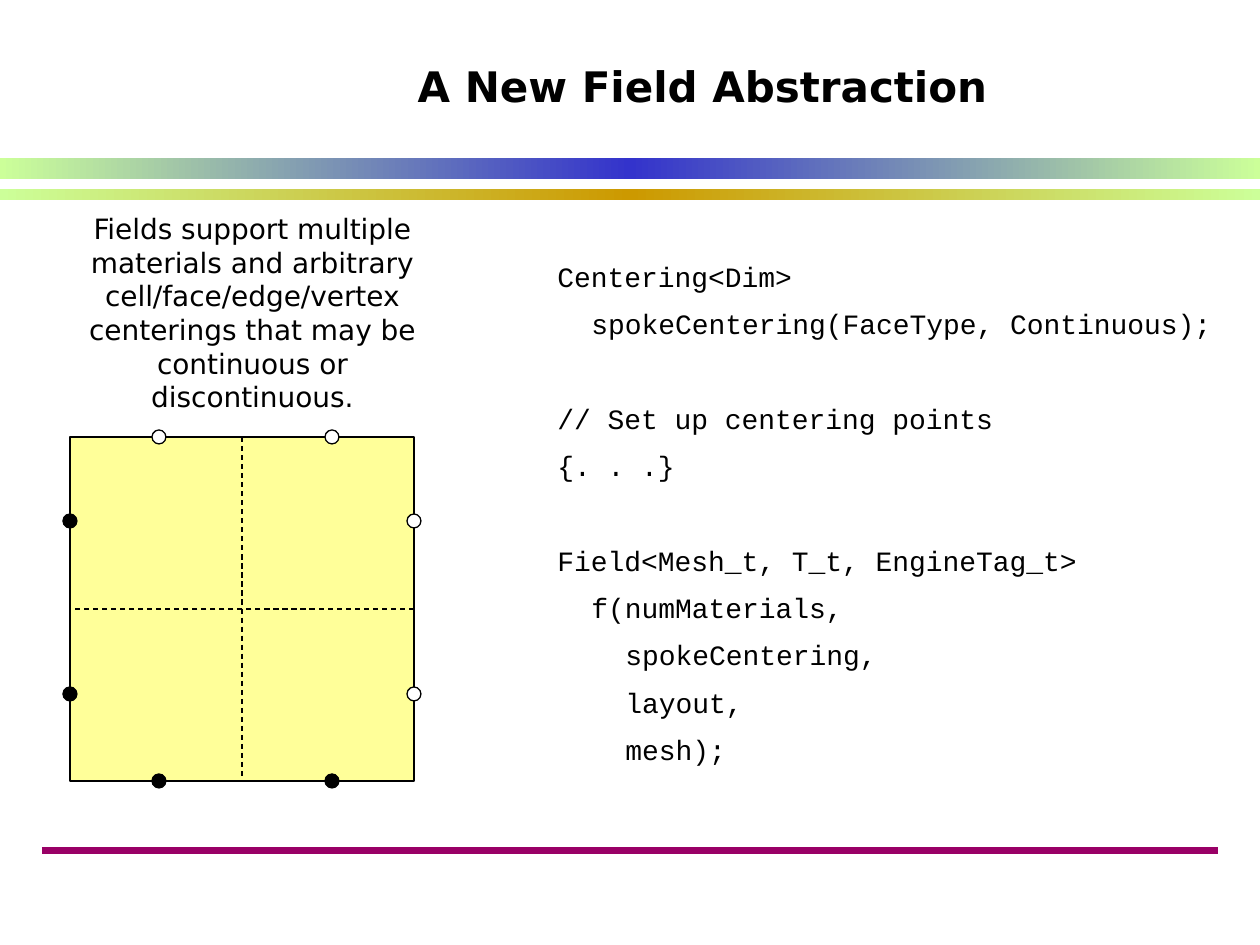
from copy import deepcopy
from dataclasses import dataclass
from itertools import product
from lxml.etree import SubElement
from pptx import Presentation
from pptx.dml.color import RGBColor
from pptx.enum.dml import MSO_LINE
from pptx.enum.shapes import MSO_CONNECTOR, MSO_SHAPE
from pptx.enum.text import MSO_ANCHOR, PP_ALIGN
from pptx.oxml.ns import qn
from pptx.util import Emu, Pt

SCALE = 914400 / 126


@dataclass(frozen=True)
class Theme:
    ink: str = "000000"
    paper: str = "FFFFFF"
    cell: str = "FFFF99"
    edge: str = "CCFF99"
    blue: str = "3333CC"
    gold: str = "CC9900"
    rule: str = "990066"
    sans: str = "DejaVu Sans"
    mono: str = "Courier New"
    head: int = 24
    body: int = 16
    thin: float = 0.75
    thick: int = 4


THEME = Theme()


def px(*sizes):
    return [Emu(round(size * SCALE)) for size in sizes]


def color(code):
    return RGBColor.from_string(code)


def add_text(slide, box, lines, font=THEME.sans, size=THEME.body, bold=False,
             align=PP_ALIGN.CENTER, lead=None, gap=0, blank=0, step=0):
    frame = slide.shapes.add_textbox(*px(*box)).text_frame
    frame.word_wrap = True
    frame.vertical_anchor = MSO_ANCHOR.MIDDLE
    for index, (text, level, apart) in enumerate(lines):
        para = frame.paragraphs[0] if index == 0 else frame.add_paragraph()
        para.alignment = align
        para.space_before = Pt(gap + blank * apart)
        if lead:
            para.line_spacing = lead
        if level:
            para._p.get_or_add_pPr().set("marL", str(px(level * step)[0]))
        run = para.add_run()
        run.text = text
        run.font.name = font
        run.font.size = Pt(size)
        run.font.bold = bold
        run.font.color.rgb = color(THEME.ink)


def add_shape(slide, kind, box, fill):
    shape = slide.shapes.add_shape(kind, *px(*box))
    shape.shadow.inherit = False
    shape.fill.solid()
    shape.fill.fore_color.rgb = color(fill)
    shape.line.color.rgb = color(THEME.ink)
    shape.line.width = Pt(THEME.thin)
    return shape


def add_line(slide, ends, ink, width, dash=None):
    line = slide.shapes.add_connector(MSO_CONNECTOR.STRAIGHT, *px(*ends))
    line.line.color.rgb = color(ink)
    line.line.width = Pt(width)
    if dash:
        line.line.dash_style = dash
    SubElement(line._element.spPr, qn("a:effectLst"))


def add_band(slide, box, middle):
    band = add_shape(slide, MSO_SHAPE.RECTANGLE, box, THEME.edge)
    band.line.fill.background()
    band.fill.gradient()
    band.fill.gradient_angle = 0
    stops = band._element.spPr.find(qn("a:gradFill")).find(qn("a:gsLst"))
    center = deepcopy(stops[0])
    center.set("pos", "50000")
    stops.insert(1, center)
    for stop, code in zip(band.fill.gradient_stops, (THEME.edge, middle, THEME.edge)):
        stop.color.rgb = color(code)


def add_frame(slide, box):
    left, top, width, height = box
    add_line(slide, (left + 42, top + 851, left + width - 42, top + 851),
             THEME.rule, THEME.thick)
    add_band(slide, (left, top + 158, width, 21), THEME.blue)
    add_band(slide, (left, top + 189, width, 11), THEME.gold)


def add_mesh(slide, box):
    left, top, width, height = box
    right, low = left + width, top + height
    midx, midy = left + width / 2, top + height / 2
    add_shape(slide, MSO_SHAPE.RECTANGLE, box, THEME.cell)
    for ends in ((midx, top, midx, low), (right, midy, left, midy)):
        add_line(slide, ends, THEME.ink, THEME.thin, MSO_LINE.DASH)
    half = 7
    dots = [(x, top + y, fill) for y, (x, fill) in product(
        (84, 257), ((left, THEME.ink), (right, THEME.paper)))]
    dots += [(left + x, y, fill) for x, (y, fill) in product(
        (89, 262), ((low, THEME.ink), (top, THEME.paper)))]
    for x, y, fill in dots:
        add_shape(slide, MSO_SHAPE.OVAL, (x - half, y - half, 2 * half, 2 * half), fill)


def add_code(slide, box):
    lines = (
        ("Centering<Dim>", 0, False),
        ("spokeCentering(FaceType, Continuous);", 1, False),
        ("// Set up centering points", 0, True),
        ("{. . .}", 0, False),
        ("Field<Mesh_t, T_t, EngineTag_t>", 0, True),
        ("f(numMaterials,", 1, False),
        ("spokeCentering,", 2, False),
        ("layout,", 2, False),
        ("mesh);", 2, False),
    )
    add_text(slide, box, lines, font=THEME.mono, align=PP_ALIGN.LEFT,
             lead=1.2, gap=4, blank=27, step=34)


def add_note(slide, box):
    lines = ("Fields support multiple", "materials and arbitrary",
             "cell/face/edge/vertex", "centerings that may be",
             "continuous or discontinuous.")
    add_text(slide, box, [(line, 0, False) for line in lines])


def main():
    deck = Presentation()
    deck.slide_width, deck.slide_height = px(1260, 945)
    slide = deck.slides.add_slide(deck.slide_layouts[6])
    add_frame(slide, (0, 0, 1260, 945))
    add_text(slide, (188, 28, 1029, 116), [("A New Field Abstraction", 0, False)],
             size=THEME.head, bold=True)
    add_code(slide, (545, 247, 683, 525))
    add_mesh(slide, (70, 437, 344, 344))
    add_note(slide, (49, 222, 407, 181))
    deck.save("out.pptx")


if __name__ == "__main__":
    main()
